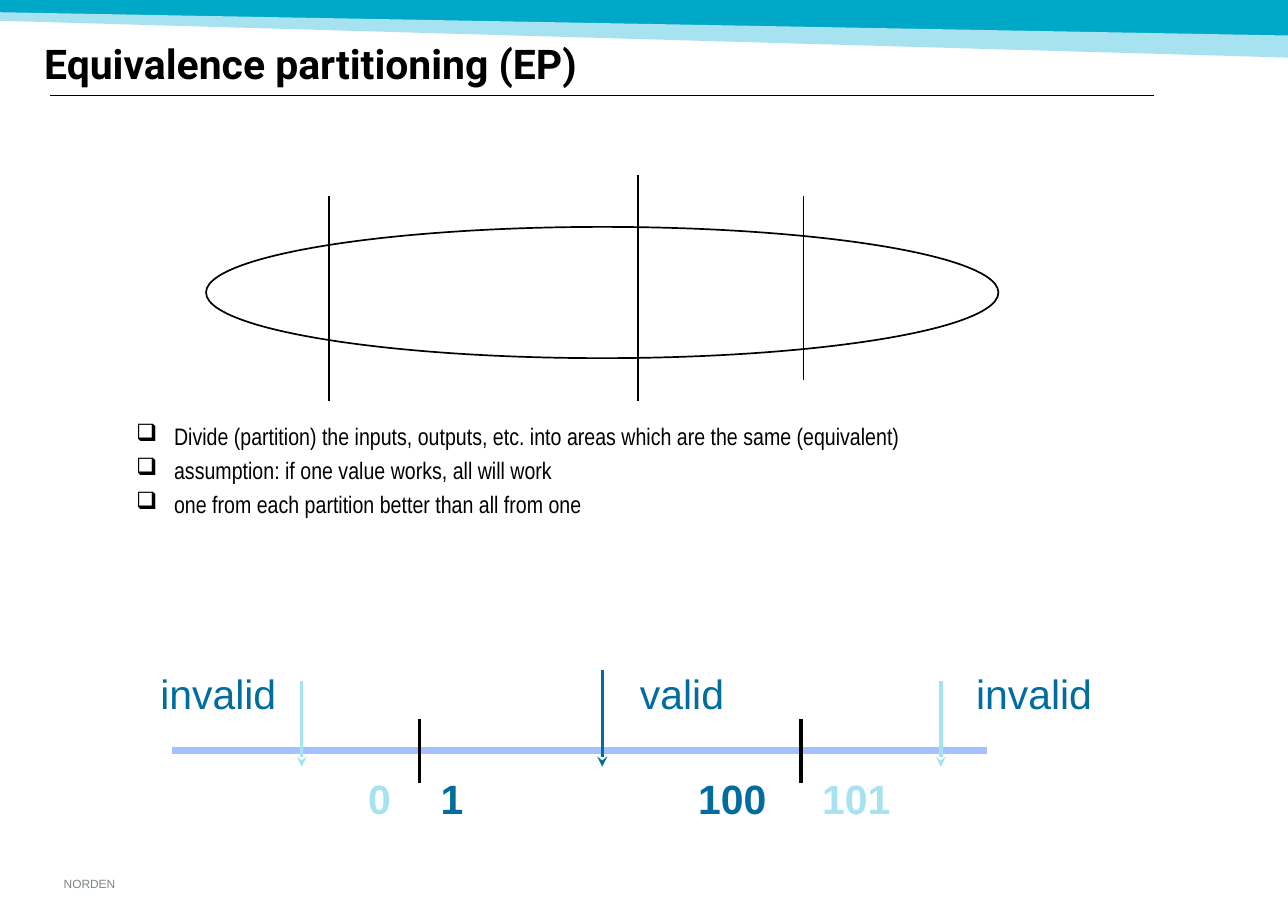
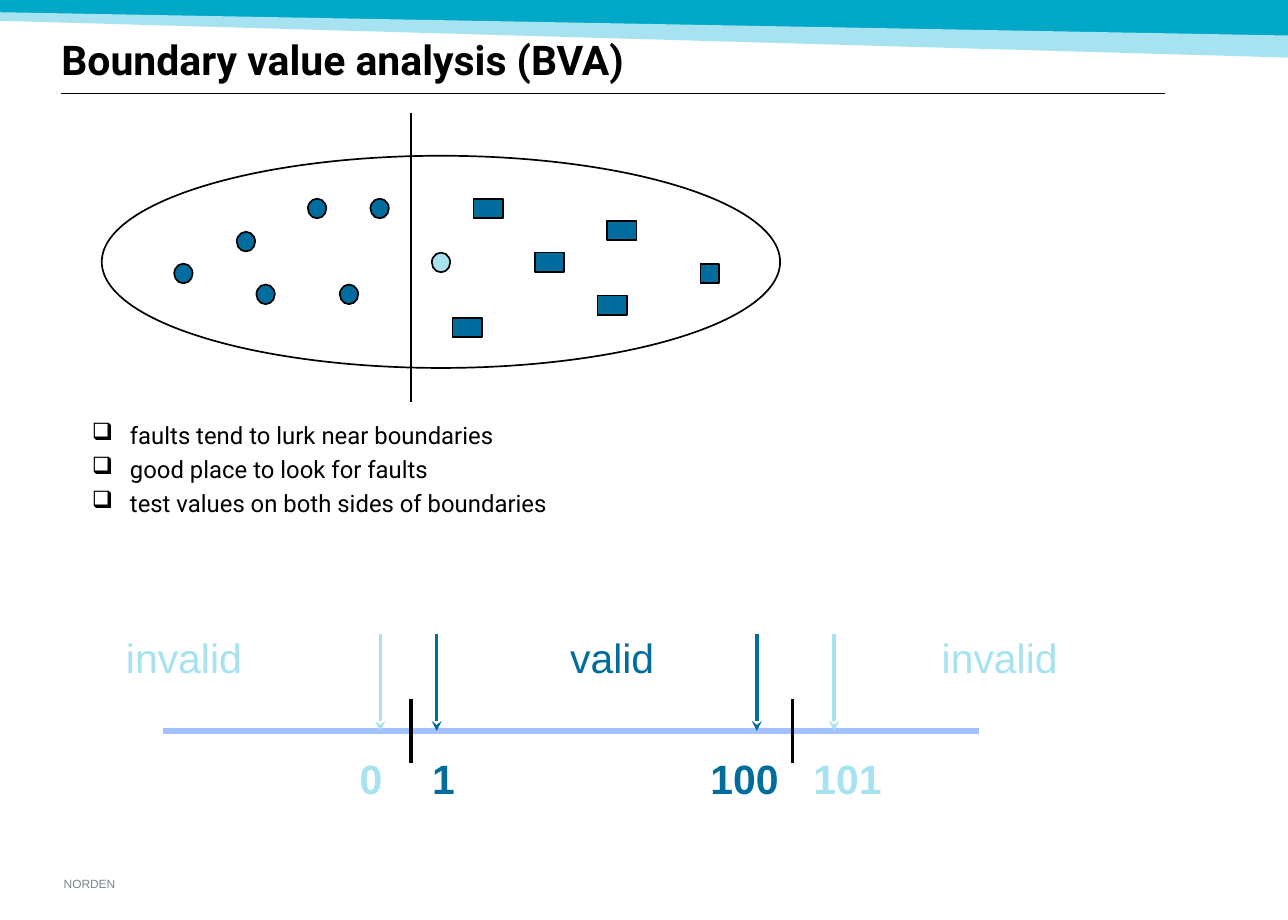
from lxml import etree
from pptx import Presentation
from pptx.dml.color import RGBColor
from pptx.enum import shapes, text
from pptx.oxml.ns import qn
from pptx.util import Inches, Pt


class Theme:
    black = RGBColor.from_string("000000")
    grey = RGBColor.from_string("7C848A")
    teal = RGBColor.from_string("00A8C8")
    pale = RGBColor.from_string("A6E2EF")
    blue = RGBColor.from_string("006D9E")
    axis = RGBColor.from_string("A2C1FE")
    sans, narrow, head = "Arial", "Arial Narrow", "Roboto"
    big, body, small = Pt(24), Pt(14), Pt(7)


def rule(slide, x1, y1, x2, y2, color=Theme.black, width=1, arrow=False):
    """Draw a straight line, with a stealth head at its end if arrow is set."""
    line = slide.shapes.add_connector(
        shapes.MSO_CONNECTOR.STRAIGHT, Inches(x1), Inches(y1), Inches(x2), Inches(y2))
    line.line.color.rgb = color
    line.line.width = Pt(width)
    props = line.element.spPr
    if arrow:
        etree.SubElement(props.find(qn("a:ln")), qn("a:tailEnd"), type="stealth")
    etree.SubElement(props, qn("a:effectLst"))


def label(slide, words, box, color, pad=(0.1, 0.05), bold=False, spacing=0.86):
    """Add one centred line of large text that sizes its own box."""
    area = slide.shapes.add_textbox(*map(Inches, box))
    frame = area.text_frame
    frame.text = words
    frame.word_wrap = False
    frame.auto_size = text.MSO_AUTO_SIZE.SHAPE_TO_FIT_TEXT
    frame.margin_left = frame.margin_right = Inches(pad[0])
    frame.margin_top = frame.margin_bottom = Inches(pad[1])
    para = frame.paragraphs[0]
    para.alignment = text.PP_ALIGN.CENTER
    para.line_spacing = spacing
    font = para.runs[0].font
    font.name, font.size, font.bold = Theme.sans, Theme.big, bold
    font.color.rgb = color


deck = Presentation()
deck.slide_width, deck.slide_height = Inches(10.5), Inches(7.5)
layout = deck.slide_layouts[5]
equal, bound = [deck.slides.add_slide(layout) for _ in range(2)]

# Bands and footer are built on a slide, then moved to the shared layout
shared = []
bands = [
    (Theme.teal, [(0, 0), (10.5, 0), (10.5, 0.32), (0, 0.12)]),
    (Theme.pale, [(0, 0.1), (10.5, 0.29), (10.5, 0.47), (0, 0.17)]),
]
for color, points in bands:
    first, *rest = [(Inches(x), Inches(y)) for x, y in points]
    path = equal.shapes.build_freeform(*first)
    path.add_line_segments(rest, close=True)
    band = path.convert_to_shape()
    band.shadow.inherit = False
    band.fill.solid()
    band.fill.fore_color.rgb = color
    band.line.fill.background()
    shared.append(band)

footer = equal.shapes.add_textbox(Inches(0.52), Inches(7.15), Inches(3.16), Inches(0.11))
frame = footer.text_frame
frame.text = "NORDEN"
frame.word_wrap = False
frame.vertical_anchor = text.MSO_ANCHOR.BOTTOM
frame.margin_left = frame.margin_right = frame.margin_top = frame.margin_bottom = 0
font = frame.paragraphs[0].runs[0].font
font.name, font.size, font.color.rgb = Theme.sans, Theme.small, Theme.grey
shared.append(footer)
for item in shared:
    layout.shapes.element.append(item.element)

# Title, title rule, bullets and number scale
pages = [
    dict(slide=equal, title="Equivalence partitioning (EP)", spot=(0.36, 0.33),
         rule=(0.41, 0.78), list=(0.86, 3.44), face=Theme.narrow,
         points=["Divide (partition) the inputs, outputs, etc. into areas which are the same (equivalent)",
                 "assumption: if one value works, all will work",
                 "one from each partition better than all from one"],
         scale=(1.4, 6.12), hundred=5.62, top=5.46, side=Theme.blue,
         labels=(1.2, 5.11, 7.85),
         arrows=[(2.46, 5.55, 6.25, Theme.pale), (7.67, 5.55, 6.25, Theme.pale),
                 (4.91, 5.46, 6.25, Theme.blue)]),
    dict(slide=bound, title="Boundary value analysis (BVA)", spot=(0.5, 0.3),
         rule=(0.5, 0.76), list=(0.5, 3.43), face=Theme.head,
         points=["faults tend to lurk near boundaries",
                 "good place to look for faults",
                 "test values on both sides of boundaries"],
         scale=(1.33, 5.96), hundred=5.72, top=5.17, side=Theme.pale,
         labels=(0.92, 4.54, 7.57),
         arrows=[(x, 5.17, 5.96, color) for x, color in
                 [(3.1, Theme.pale), (6.8, Theme.pale),
                  (3.56, Theme.blue), (6.17, Theme.blue)]]),
]
for page in pages:
    slide = page["slide"]
    title = slide.shapes.title
    title.left, title.top = map(Inches, page["spot"])
    title.width, title.height = Inches(9), Inches(0.7)
    frame = title.text_frame
    frame.text = page["title"]
    frame.vertical_anchor = text.MSO_ANCHOR.TOP
    frame.auto_size = text.MSO_AUTO_SIZE.NONE
    frame.margin_left = 0
    para = frame.paragraphs[0]
    para.alignment = text.PP_ALIGN.LEFT
    para.line_spacing = 0.83
    font = para.runs[0].font
    font.name, font.size, font.bold = Theme.head, Theme.big, True
    font.color.rgb = Theme.black
    x, y = page["rule"]
    rule(slide, x, y, x + 9, y, width=0.5)

    x, y = page["list"]
    area = slide.shapes.add_textbox(Inches(x), Inches(y), Inches(8.5), Inches(0.9))
    frame = area.text_frame
    frame.word_wrap = True
    frame.margin_left = frame.margin_right = frame.margin_top = frame.margin_bottom = 0
    frame.text = "\n".join(page["points"])
    for para in frame.paragraphs:
        para.space_before = Pt(3)
        font = para.runs[0].font
        font.name, font.size, font.color.rgb = page["face"], Theme.body, Theme.black
        props = para._p.get_or_add_pPr()
        props.set("marL", str(Inches(0.56)))
        props.set("indent", str(-Inches(0.31)))
        etree.SubElement(props, qn("a:buChar"), char="❑")

    x, y = page["scale"]
    rule(slide, x, y, x + 6.65, y, Theme.axis, 4)
    for tick in (x + 2.02, x + 5.13):
        rule(slide, tick, y - 0.26, tick, y + 0.26, width=2)
    numbers = [("0", x + 1.53, 0.33, Theme.pale), ("1", x + 2.12, 0.33, Theme.blue),
               ("100", page["hundred"], 0.7, Theme.blue), ("101", x + 5.23, 0.7, Theme.pale)]
    for words, left, width, color in numbers:
        label(slide, words, (left, y + 0.2, width, 0.42), color, (0.07, 0.03), True, 0.9)
    for x, start, end, color in page["arrows"]:
        rule(slide, x, start, x, end, color, 2, arrow=True)
    names = [("invalid", 1.16, page["side"]), ("valid", 0.9, Theme.blue),
             ("invalid", 1.16, page["side"])]
    for left, (words, width, color) in zip(page["labels"], names):
        label(slide, words, (left, page["top"], width, 0.51), color)

# Sets above the bullets, cut by partition lines
oval, rect = shapes.MSO_SHAPE.OVAL, shapes.MSO_SHAPE.RECTANGLE
dots = [(2.51, 1.62), (1.42, 2.15), (3.02, 1.62), (2.09, 2.32), (1.93, 1.89), (2.77, 2.32)]
bars = [(3.86, 1.62), (4.36, 2.06), (3.69, 2.59), (4.87, 2.41), (4.95, 1.8)]
marks = [
    (equal, oval, (1.68, 1.85, 6.46, 1.07), None),
    (bound, oval, (0.83, 1.27, 5.53, 1.73), None),
    *[(bound, oval, (x, y, 0.15, 0.16), Theme.blue) for x, y in dots],
    (bound, oval, (3.52, 2.06, 0.15, 0.16), Theme.pale),
    (bound, rect, (5.71, 2.15, 0.15, 0.16), Theme.blue),
    *[(bound, rect, (x, y, 0.24, 0.16), Theme.blue) for x, y in bars],
]
for slide, kind, box, color in marks:
    mark = slide.shapes.add_shape(kind, *map(Inches, box))
    mark.shadow.inherit = False
    mark.line.color.rgb = Theme.black
    mark.line.width = Pt(1)
    if color is None:
        mark.fill.background()
    else:
        mark.fill.solid()
        mark.fill.fore_color.rgb = color

cuts = [(equal, 2.68, 1.6, 3.27), (equal, 5.2, 1.43, 3.27), (equal, 6.55, 1.6, 3.1),
        (bound, 3.35, 0.92, 3.28)]
for slide, x, start, end in cuts:
    rule(slide, x, start, x, end)

deck.save("out.pptx")
